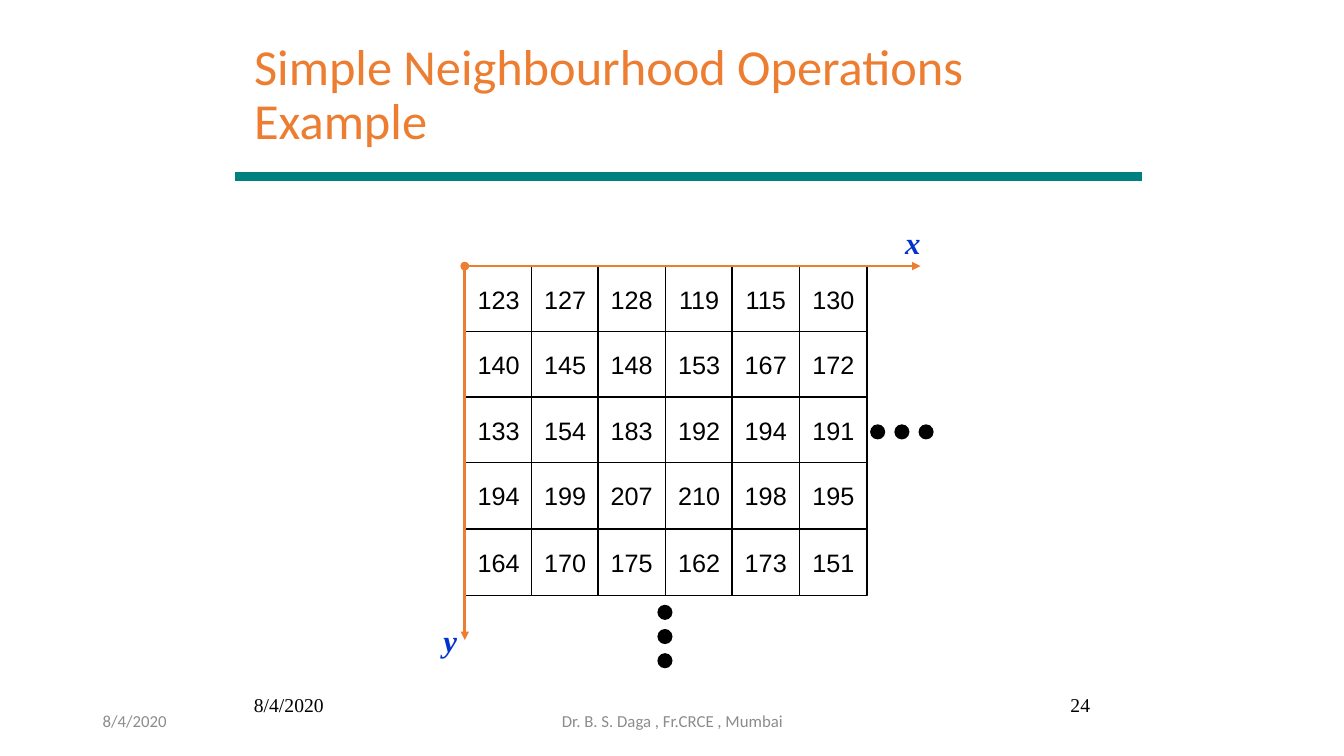
"""Builds the slide on simple neighbourhood operations with its pixel grid."""
import pptx
import pptx.dml.color
import pptx.enum.shapes
import pptx.enum.text
import pptx.oxml
import pptx.oxml.ns
import pptx.util

PX = 9144
COLORS = {
    "title": "ED7D31",
    "axis": "ED7D31",
    "label": "0033CC",
    "rule": "008080",
    "ink": "000000",
    "paper": "FFFFFF",
    "footer": "8C8C8C",
}
PIXELS = [
    [123, 127, 128, 119, 115, 130],
    [140, 145, 148, 153, 167, 172],
    [133, 154, 183, 192, 194, 191],
    [194, 199, 207, 210, 198, 195],
    [164, 170, 175, 162, 173, 151],
]
GRID_LEFT, GRID_TOP = 461, 264
GRID_WIDTH, GRID_HEIGHT = 399, 327
CELL_WIDTH, CELL_HEIGHT = 67, 66
DOT_SIZE = 15

SHAPE = pptx.enum.shapes.MSO_SHAPE
ALIGN = pptx.enum.text.PP_ALIGN
ANCHOR = pptx.enum.text.MSO_ANCHOR
AUTO_SIZE = pptx.enum.text.MSO_AUTO_SIZE


def px(*lengths):
    return [pptx.util.Emu(length * PX) for length in lengths]


def rgb(name):
    return pptx.dml.color.RGBColor.from_string(COLORS[name])


def set_text(sp, text, size, font, color, align=ALIGN.LEFT, anchor=ANCHOR.TOP, wrap=True):
    tf = sp.text_frame
    tf.text = text
    tf.word_wrap = wrap
    tf.vertical_anchor = anchor
    p = tf.paragraphs[0]
    p.alignment = align
    p.font.size = pptx.util.Pt(size)
    p.font.name = font
    p.font.color.rgb = rgb(color)
    return p


def add_text(shapes, box, *args, **kwargs):
    return set_text(shapes.add_textbox(*px(*box)), *args, **kwargs)


def add_title(s, text):
    sp = s.shapes.title
    sp.left, sp.top, sp.width, sp.height = px(242, 33, 850, 125)
    p = set_text(sp, text, 36, "Calibri", "title", anchor=ANCHOR.MIDDLE)
    p.line_spacing = 0.9
    sp.text_frame.auto_size = AUTO_SIZE.NONE


def add_line(shapes, start, end, color, width):
    line = shapes.add_connector(
        pptx.enum.shapes.MSO_CONNECTOR.STRAIGHT, *px(*start, *end))
    line.line.color.rgb = rgb(color)
    line.line.width = pptx.util.Pt(width)
    pptx.oxml.ns.qn("a:effectLst")
    line._element.spPr.append(pptx.oxml.parse_xml(
        f'<a:effectLst {pptx.oxml.ns.nsdecls("a")}/>'))
    return line


def add_axis(shapes, end):
    line = add_line(shapes, (GRID_LEFT, GRID_TOP), end, "axis", 2)
    ln = line.line._get_or_add_ln()
    for tag, kind in (("headEnd", "oval"), ("tailEnd", "triangle")):
        ln.append(pptx.oxml.parse_xml(
            f'<a:{tag} {pptx.oxml.ns.nsdecls("a")} type="{kind}"/>'))


def add_axis_label(shapes, box, text):
    p = add_text(shapes, box, text, 22, "Times New Roman", "label", wrap=False)
    p.font.bold = p.font.italic = True


def add_solid(shapes, kind, box, fill):
    sp = shapes.add_shape(kind, *px(*box))
    sp.shadow.inherit = False
    sp.fill.solid()
    sp.fill.fore_color.rgb = rgb(fill)
    sp.line.fill.background()
    return sp


def add_cell(shapes, row, col, value):
    left = GRID_LEFT + col * (GRID_WIDTH - CELL_WIDTH) // 5
    top = GRID_TOP + row * (GRID_HEIGHT - CELL_HEIGHT) // 4
    sp = add_solid(shapes, SHAPE.RECTANGLE, (left, top, CELL_WIDTH, CELL_HEIGHT), "paper")
    sp.line.color.rgb = rgb("ink")
    sp.line.width = pptx.util.Pt(1)
    set_text(sp, str(value), 18, "Arial", "ink", ALIGN.CENTER, ANCHOR.MIDDLE, False)


def add_dots(shapes, left, top, dx, dy):
    for i in range(3):
        box = (left + i * dx, top + i * dy, DOT_SIZE, DOT_SIZE)
        add_solid(shapes, SHAPE.OVAL, box, "ink")


def add_pixel_grid(s):
    shapes = s.shapes.add_group_shape().shapes
    for row, values in enumerate(PIXELS):
        for col, value in enumerate(values):
            add_cell(shapes, row, col, value)
    add_axis(shapes, (913, GRID_TOP))
    add_axis(shapes, (GRID_LEFT, 635))
    add_axis_label(shapes, (888, 217, 35, 47), "x")
    add_axis_label(shapes, (430, 612, 34, 47), "y")
    add_dots(shapes, 863, 421, 24, 0)
    add_dots(shapes, 652, 600, 0, 24)


def main():
    prs = pptx.Presentation()
    prs.slide_width, prs.slide_height = px(1333, 750)
    s = prs.slides.add_slide(prs.slide_layouts[5])
    add_title(s, "Simple Neighbourhood Operations Example")
    add_text(s.shapes, (242, 683, 208, 50), "8/4/2020", 14, "Times New Roman", "ink")
    add_text(s.shapes, (883, 683, 208, 50), "24", 14, "Times New Roman", "ink", ALIGN.RIGHT)
    add_pixel_grid(s)
    add_line(s.shapes, (233, 175), (1133, 175), "rule", 6)
    add_text(s.shapes, (92, 695, 300, 40), "8/4/2020", 12, "Calibri", "footer",
             anchor=ANCHOR.MIDDLE)
    add_text(s.shapes, (442, 695, 450, 40), "Dr. B. S. Daga , Fr.CRCE , Mumbai", 12,
             "Calibri", "footer", ALIGN.CENTER, ANCHOR.MIDDLE)
    prs.save("out.pptx")


if __name__ == "__main__":
    main()
